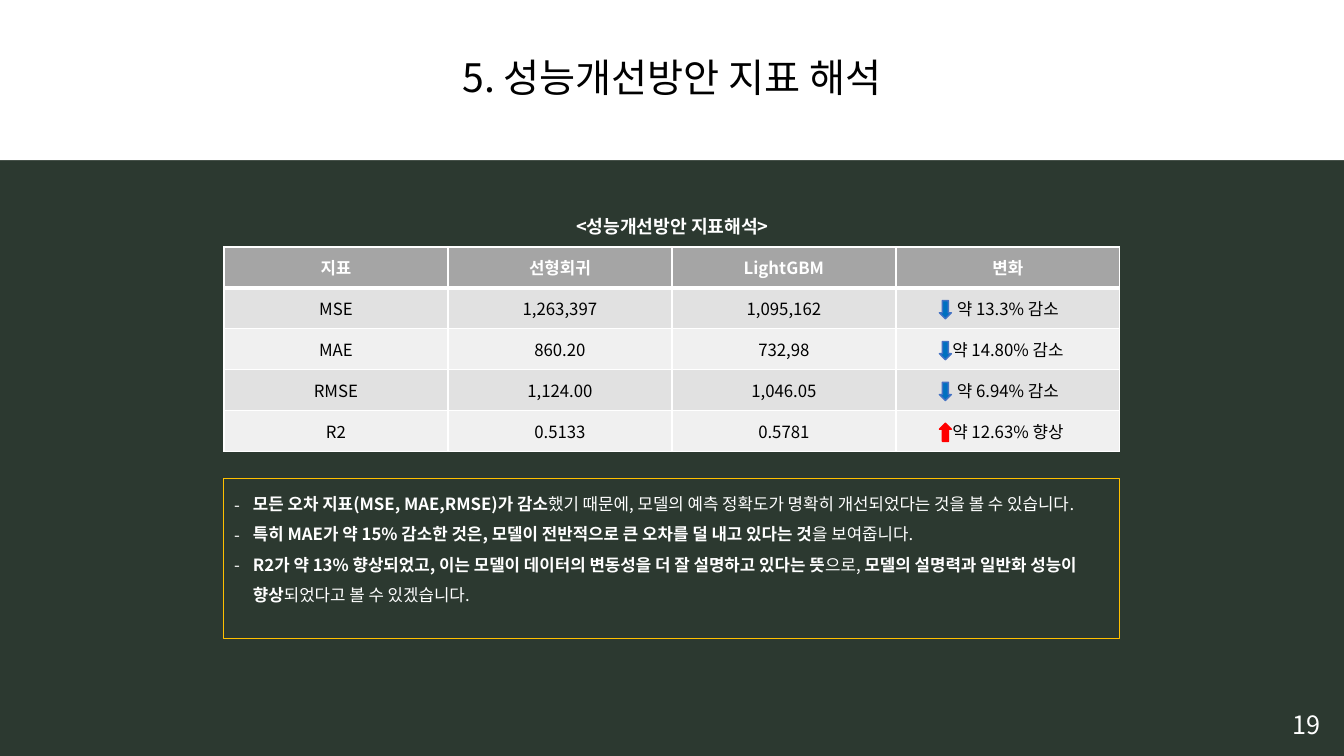
from lxml import etree
from pptx import Presentation
from pptx.dml.color import RGBColor
from pptx.enum.shapes import MSO_SHAPE
from pptx.enum.text import MSO_ANCHOR, PP_ALIGN
from pptx.oxml.ns import qn
from pptx.util import Pt

CENTER, LEFT = PP_ALIGN.CENTER, PP_ALIGN.LEFT
MIDDLE, TOP = MSO_ANCHOR.MIDDLE, MSO_ANCHOR.TOP
DOWN_ARROW = MSO_SHAPE.DOWN_ARROW

# Content
TITLE = "5. 성능개선방안 지표 해석"
CAPTION = "<성능개선방안 지표해석>"
PAGE = "19"
METRICS = [
    ("지표", "선형회귀", "LightGBM", "변화"),
    ("MSE", "1,263,397", "1,095,162", "약 13.3% 감소"),
    ("MAE", "860.20", "732,98", "약 14.80% 감소"),
    ("RMSE", "1,124.00", "1,046.05", "약 6.94% 감소"),
    ("R2", "0.5133", "0.5781", "약 12.63% 향상"),
]
# Each finding alternates bold and regular text, bold first
FINDINGS = [
    ("모든 오차 지표(MSE, MAE,RMSE)가 감소",
     "했기 때문에, 모델의 예측 정확도가 명확히 개선되었다는 것을 볼 수 있습니다."),
    ("특히 MAE가 약 15% 감소한 것은, 모델이 전반적으로 큰 오차를 덜 내고 있다는 것",
     "을 보여줍니다."),
    ("R2가 약 13% 향상되었고, 이는 모델이 데이터의 변동성을 더 잘 설명하고 있다는 뜻",
     "으로, ", "모델의 설명력과 일반화 성능이 향상", "되었다고 볼 수 있겠습니다."),
]


class Theme:
    font = "Noto Sans CJK KR"
    title, page, caption, text = 28, 18, 13, 12
    dark, white, black = "2C3930", "FFFFFF", "000000"
    header, bands = "A5A5A5", ("F0F0F0", "E1E1E1")
    down, down_line, up, frame = "0070C0", "4472C4", "FF0000", "FFC000"


# Layout in points
SLIDE_W, SLIDE_H = 960, 540
TITLE_H = 114.5
LEFT_X, CONTENT_W = 160, 640
TABLE_Y, ROW_H = 176.4, 29.2
COL_W = CONTENT_W / len(METRICS[0])
ARROW_X, ARROW_W, ARROW_H = 671, 8.6, 13
BOX_Y, BOX_H = 342, 113.8
INDENT = 13.5


def color(value):
    return RGBColor.from_string(value)


def fill(s, value):
    s.fill.solid()
    s.fill.fore_color.rgb = color(value)


def place(s, x, y, w, h):
    s.left, s.top, s.width, s.height = Pt(x), Pt(y), Pt(w), Pt(h)


def style(p, size, value, bold=False, align=CENTER, spacing=1.0):
    p.alignment = align
    p.line_spacing = spacing
    p.space_before = Pt(0)
    for r in p.runs:
        r.font.size, r.font.bold, r.font.name = Pt(size), bold, Theme.font
        r.font.color.rgb = color(value)
        ea = etree.SubElement(r.font._element, qn("a:ea"))
        ea.set("typeface", Theme.font)


def add_label(text, x, y, w, h, size, bold=False, spacing=1.0):
    s = slide.shapes.add_textbox(Pt(x), Pt(y), Pt(w), Pt(h))
    s.text_frame.word_wrap = True
    s.text_frame.text = text
    style(s.text_frame.paragraphs[0], size, Theme.white, bold, spacing=spacing)


def set_borders(cell, widths):
    tc_pr = cell._tc.get_or_add_tcPr()
    for i, (side, width) in enumerate(widths.items()):
        ln = etree.Element(qn("a:ln" + side), w=str(Pt(width)))
        solid = etree.SubElement(ln, qn("a:solidFill"))
        etree.SubElement(solid, qn("a:srgbClr"), val=Theme.white)
        tc_pr.insert(i, ln)


prs = Presentation()
prs.slide_width, prs.slide_height = Pt(SLIDE_W), Pt(SLIDE_H)
slide = prs.slides.add_slide(prs.slide_layouts[1])
fill(slide.background, Theme.dark)
title, body = slide.placeholders[0], slide.placeholders[1]

# Title band
place(title, 0, 0, SLIDE_W, TITLE_H)
fill(title, Theme.white)
title.text_frame.text = TITLE
title.text_frame.vertical_anchor = MIDDLE
style(title.text_frame.paragraphs[0], Theme.title, Theme.black, spacing=0.9)

# Page number and table caption
add_label(PAGE, 906.5, 503.3, 53.5, 29, Theme.page)
add_label(CAPTION, 262.8, 142.6, 434.9, 28, Theme.caption, True, 1.5)

# Metrics table
frame = slide.shapes.add_table(len(METRICS), len(METRICS[0]), Pt(LEFT_X),
                               Pt(TABLE_Y), Pt(CONTENT_W),
                               Pt(ROW_H * len(METRICS)))
table = frame.table
for col in table.columns:
    col.width = Pt(COL_W)
for i, values in enumerate(METRICS):
    head = i == 0
    table.rows[i].height = Pt(ROW_H)
    for j, value in enumerate(values):
        cell = table.cell(i, j)
        cell.text_frame.text = value
        cell.vertical_anchor = MIDDLE
        style(cell.text_frame.paragraphs[0], Theme.text,
              Theme.white if head else Theme.black, head)
        fill(cell, Theme.header if head else Theme.bands[i % 2])
        set_borders(cell, {"L": 1, "R": 1, "T": 3 if i == 1 else 1,
                           "B": 3 if head else 1})

# Change arrows, one centred on each data row
for i, values in enumerate(METRICS[1:], 1):
    rises = values[-1].endswith("향상")
    y = TABLE_Y + ROW_H * (i + 0.5) - ARROW_H / 2 + 1
    s = slide.shapes.add_shape(DOWN_ARROW, Pt(ARROW_X), Pt(y),
                               Pt(ARROW_W), Pt(ARROW_H))
    s.shadow.inherit = False
    s.rotation = 180 if rises else 0
    fill(s, Theme.up if rises else Theme.down)
    s.line.color.rgb = color(Theme.up if rises else Theme.down_line)
    s.line.width = Pt(1)

# Findings box
place(body, LEFT_X, BOX_Y, CONTENT_W, BOX_H)
body.line.color.rgb = color(Theme.frame)
body.line.width = Pt(0.75)
tf = body.text_frame
tf.vertical_anchor = TOP
for i, parts in enumerate(FINDINGS):
    p = tf.paragraphs[0] if i == 0 else tf.add_paragraph()
    for part in parts:
        p.add_run().text = part
    style(p, Theme.text, Theme.white, align=LEFT, spacing=1.5)
    for r in p.runs[::2]:
        r.font.bold = True
    p_pr = p._p.get_or_add_pPr()
    p_pr.set("marL", str(Pt(INDENT)))
    p_pr.set("indent", str(-Pt(INDENT)))
    bullet_font = etree.SubElement(p_pr, qn("a:buFont"))
    bullet_font.set("typeface", Theme.font)
    etree.SubElement(p_pr, qn("a:buChar")).set("char", "-")

prs.save("out.pptx")
